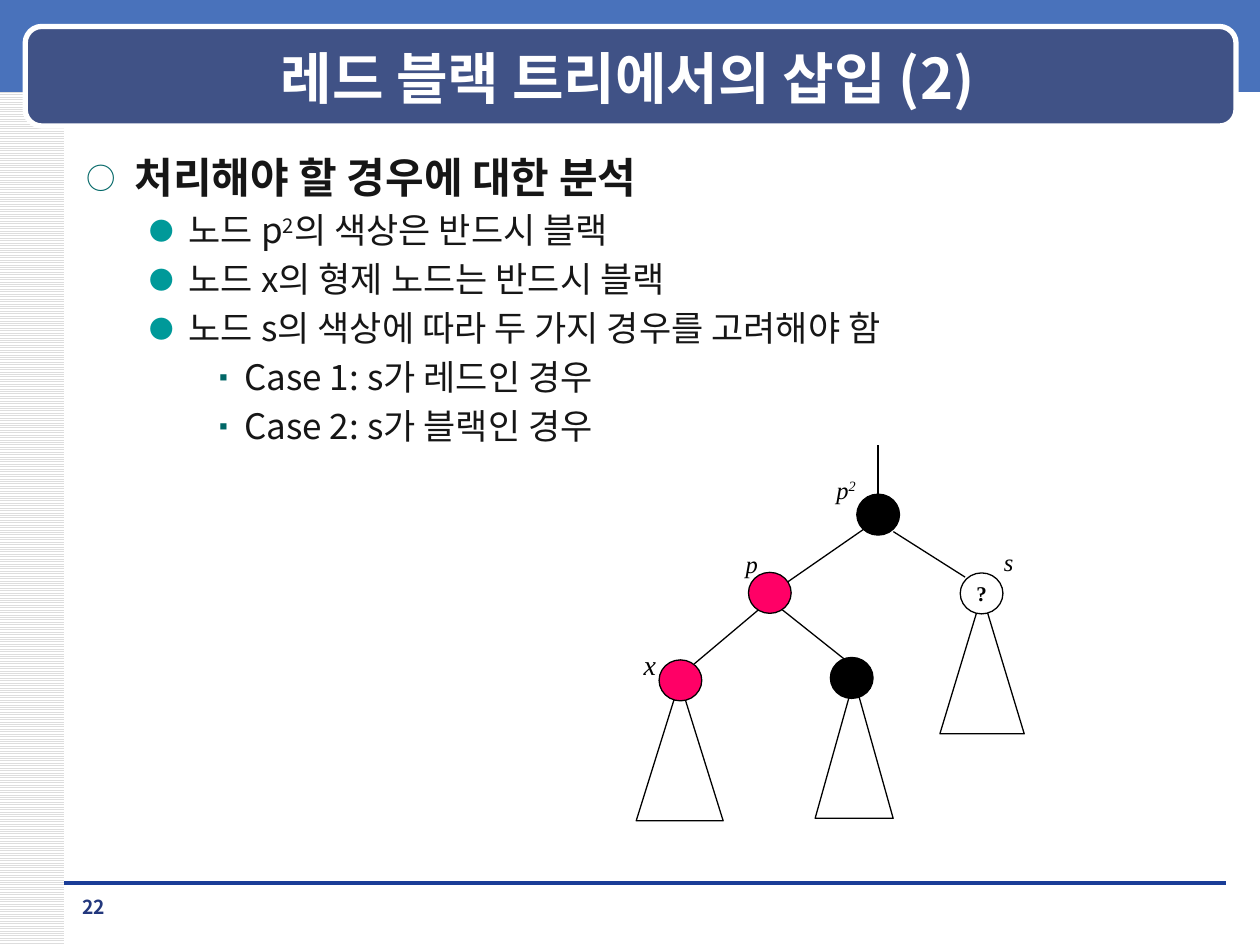
from dataclasses import dataclass
from lxml.etree import SubElement
from pptx import Presentation
from pptx.dml.color import RGBColor
from pptx.enum.dml import MSO_PATTERN
from pptx.enum.shapes import MSO_CONNECTOR, MSO_SHAPE
from pptx.enum.text import MSO_ANCHOR, PP_ALIGN
from pptx.oxml.ns import qn
from pptx.util import Pt


@dataclass(frozen=True)
class Theme:
    sans: str = "Noto Sans CJK KR"
    serif: str = "Times New Roman"
    white: str = "FFFFFF"
    black: str = "000000"
    text: str = "161616"
    blue: str = "4972BB"
    navy: str = "405286"
    rule: str = "1A3D97"
    page: str = "23387D"
    stripe: str = "DDDDDD"
    red: str = "FF0066"
    teal: str = "006666"
    mint: str = "009999"
    title: int = 32
    head: int = 24
    body: int = 20
    big: int = 16
    label: int = 14
    mark: int = 12
    foot: int = 11


T = Theme()
LEVELS = [
    (27.36, 27.36, "○", T.teal, 70, T.head, True),
    (58.32, 22.32, "●", T.mint, 70, T.body, False),
    (90, 18, "▪", T.teal, 65, T.body, False),
]
POINTS = [
    (0, ["처리해야 할 경우에 대한 분석"]),
    (1, ["노드 p", "^2", "의 색상은 반드시 블랙"]),
    (1, ["노드 x의 형제 노드는 반드시 블랙"]),
    (1, ["노드 s의 색상에 따라 두 가지 경우를 고려해야 함"]),
    (2, ["Case 1: s가 레드인 경우"]),
    (2, ["Case 2: s가 블랙인 경우"]),
]
TREES = [(201.2, 87.8, 48.2), (28.4, 137.5, 49.7), (128.1, 136.1, 44.6)]
EDGES = [
    (73.4, 96.5, 36.7, 127.4),
    (87.1, 96.5, 122.4, 124.6),
    (150.5, 51.8, 191.5, 77.8),
    (134.6, 49.7, 90, 80.6),
    (141.8, 30.2, 141.8, 2.2),
]
NODES = [
    (141.8, 42.1, T.black, ""),
    (79.9, 86.8, T.red, ""),
    (200.9, 87.1, T.white, "?"),
    (28.8, 136.8, T.red, ""),
    (126.7, 135.4, T.black, ""),
]
LABELS = [
    (0.7, 114.5, 21.6, T.big, ["x"]),
    (59, 58.3, 21.6, T.label, ["p"]),
    (206.6, 56.9, 20.2, T.label, ["s"]),
    (110.9, 15.8, 25.9, T.label, ["p", "^2"]),
]


def rgb(code):
    return RGBColor.from_string(code)


def add_run(para, text, size, color, face=T.sans, bold=False, italic=False):
    run = para.add_run()
    run.text = text.lstrip("^")
    font = run.font
    font.size, font.name, font.bold, font.italic = Pt(size), face, bold, italic
    font.color.rgb = rgb(color)
    props = run._r.get_or_add_rPr()
    SubElement(props, qn("a:ea"), typeface=face)
    if text.startswith("^"):
        props.set("baseline", "30000")


def add_form(slide, kind, box, fill=None, line=None, width=0.75):
    shape = slide.shapes.add_shape(kind, *map(Pt, box))
    shape.shadow.inherit = False
    if fill:
        shape.fill.solid()
        shape.fill.fore_color.rgb = rgb(fill)
    else:
        shape.fill.background()
    if line:
        shape.line.color.rgb = rgb(line)
        shape.line.width = Pt(width)
    else:
        shape.line.fill.background()
    return shape


def add_line(slide, ends, color, width):
    line = slide.shapes.add_connector(MSO_CONNECTOR.STRAIGHT, *map(Pt, ends))
    line.line.color.rgb = rgb(color)
    line.line.width = Pt(width)
    SubElement(line._element.spPr, qn("a:effectLst"))


def add_text(slide, box, wrap=True):
    frame = slide.shapes.add_textbox(*map(Pt, box)).text_frame
    frame.word_wrap = wrap
    return frame


def add_bullet(para, level):
    left, hang, char, color, scale, _, _ = LEVELS[level]
    props = para._p.get_or_add_pPr()
    props.set("marL", str(Pt(left)))
    props.set("indent", str(-Pt(hang)))
    tint = SubElement(props, qn("a:buClr"))
    SubElement(tint, qn("a:srgbClr"), val=color)
    SubElement(props, qn("a:buSzPct"), val=str(scale * 1000))
    SubElement(props, qn("a:buFont"), typeface=T.sans)
    SubElement(props, qn("a:buChar"), char=char)


def draw_frame(slide, box):
    x, y, w, h = box
    side = add_form(slide, MSO_SHAPE.RECTANGLE, (x, y, 36.72, h))
    side.fill.patterned()
    side.fill.pattern = MSO_PATTERN.LIGHT_HORIZONTAL
    side.fill.fore_color.rgb = rgb(T.stripe)
    side.fill.back_color.rgb = rgb(T.white)
    add_form(slide, MSO_SHAPE.RECTANGLE, (x, y, w, 52.56), T.blue)
    base = y + 504.72
    add_line(slide, (x + 36.72, base, x + 700.56, base), T.rule, 0)


def draw_title(slide, box):
    x, y, w, h = box
    add_form(slide, MSO_SHAPE.ROUNDED_RECTANGLE, box, T.navy, T.white, 3)
    frame = add_text(slide, (x + 36.7, y + 6.5, w - 77, h - 12.2))
    frame.vertical_anchor = MSO_ANCHOR.MIDDLE
    para = frame.paragraphs[0]
    para.alignment = PP_ALIGN.CENTER
    add_run(para, "레드 블랙 트리에서의 삽입 (2)", T.title, T.white, bold=True)


def draw_body(slide, box):
    frame = add_text(slide, box)
    for i, (level, parts) in enumerate(POINTS):
        para = frame.add_paragraph() if i else frame.paragraphs[0]
        size, bold = LEVELS[level][5:]
        para.level = level
        para.space_before = Pt(size * 0.2)
        add_bullet(para, level)
        for part in parts:
            add_run(para, part, size, T.text, bold=bold)


def draw_tree(slide, box):
    x, y = box[:2]
    for cx, top, w in TREES:
        add_form(slide, MSO_SHAPE.ISOSCELES_TRIANGLE,
                 (x + cx - w / 2, y + top, w, 79.5), line=T.black)
    for x1, y1, x2, y2 in EDGES:
        add_line(slide, (x + x1, y + y1, x + x2, y + y2), T.black, 0.75)
    for cx, cy, fill, mark in NODES:
        node = add_form(slide, MSO_SHAPE.OVAL,
                        (x + cx - 12.2, y + cy - 11.7, 24.4, 23.4), fill, T.black)
        if mark:
            frame = node.text_frame
            frame.word_wrap = False
            frame.vertical_anchor = MSO_ANCHOR.MIDDLE
            para = frame.paragraphs[0]
            para.alignment = PP_ALIGN.CENTER
            add_run(para, mark, T.mark, T.black, T.serif, bold=True)
    for left, top, w, size, parts in LABELS:
        frame = add_text(slide, (x + left, y + top, w, size * 1.7), False)
        for part in parts:
            add_run(frame.paragraphs[0], part, size, T.black, T.serif, italic=True)


def draw_foot(slide, box):
    para = add_text(slide, box).paragraphs[0]
    para.alignment = PP_ALIGN.CENTER
    add_run(para, "22", T.foot, T.page, bold=True)


def main():
    deck = Presentation()
    deck.slide_width, deck.slide_height = Pt(720), Pt(540)
    slide = deck.slides.add_slide(deck.slide_layouts[6])
    draw_frame(slide, (0, 0, 720, 540))
    draw_title(slide, (14.4, 15.12, 691.92, 56.88))
    draw_body(slide, (42.48, 82.8, 640.8, 414))
    draw_tree(slide, (360, 252, 230, 220))
    draw_foot(slide, (36.72, 508.32, 33.84, 19.44))
    deck.save("out.pptx")


if __name__ == "__main__":
    main()
